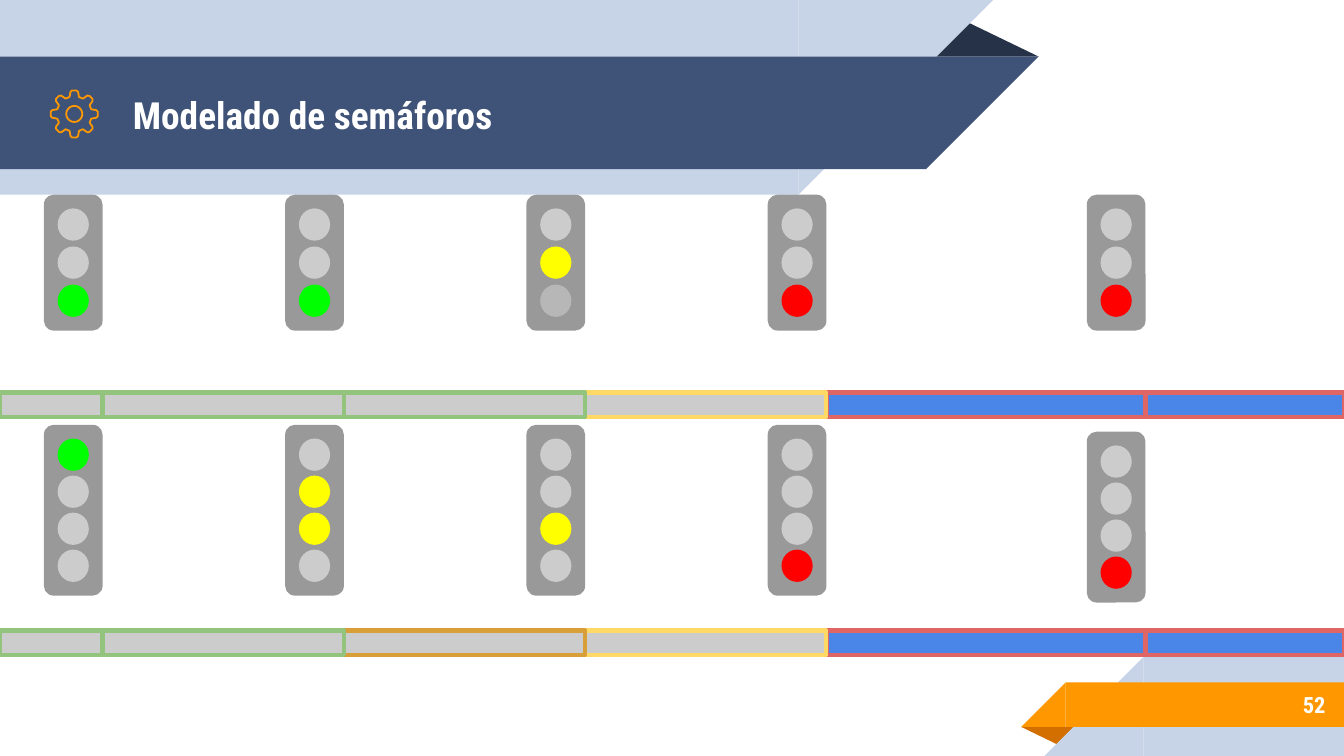
from dataclasses import dataclass
from math import cos, pi, sin
from typing import NamedTuple

from pptx import Presentation
from pptx.dml.color import RGBColor
from pptx.enum.shapes import MSO_SHAPE as Shape
from pptx.enum.text import MSO_ANCHOR as Anchor, MSO_AUTO_SIZE as AutoSize, PP_ALIGN as Align
from pptx.util import Cm, Pt


@dataclass(frozen=True)
class Theme:
    font: str = "Roboto Condensed"
    title_size: float = 20
    number_size: float = 12
    road_line: float = 2.25
    gear_line: float = 0.96
    text: str = "FFFFFF"
    pale: str = "C7D3E6"
    navy: str = "3F5378"
    navy_fold: str = "263248"
    orange: str = "FF9800"
    orange_fold: str = "D26F00"
    housing: str = "999999"
    off: str = "CCCCCC"
    dim: str = "B7B7B7"
    green: str = "00FF00"
    yellow: str = "FFFF00"
    red: str = "FF0000"
    free_track: str = "CCCCCC"
    train: str = "4A86E8"
    clear_edge: str = "93C47D"
    notice_edge: str = "D89F39"
    caution_edge: str = "FFD966"
    stop_edge: str = "E06666"


class Box(NamedTuple):
    left: float
    top: float
    width: float
    height: float


THEME = Theme()


def color(value):
    return RGBColor.from_string(value)


def add_filled(slide, kind, box, fill, edge=None, rotation=0):
    shape = slide.shapes.add_shape(kind, *map(Cm, box))
    shape.shadow.inherit = False
    shape.rotation = rotation
    shape.fill.solid()
    shape.fill.fore_color.rgb = color(fill)
    if edge:
        shape.line.color.rgb = color(edge)
        shape.line.width = Pt(THEME.road_line)
    else:
        shape.line.fill.background()
    return shape


def write_text(shape, text, size, alignment):
    frame = shape.text_frame
    frame.word_wrap = True
    frame.auto_size = AutoSize.NONE
    frame.vertical_anchor = Anchor.MIDDLE
    frame.margin_left = frame.margin_right = Cm(0.25)
    frame.margin_top = frame.margin_bottom = Cm(0.25)
    frame.text = text
    paragraph = frame.paragraphs[0]
    paragraph.alignment = alignment
    paragraph.line_spacing = 1.0
    paragraph.font.name = THEME.font
    paragraph.font.size = Pt(size)
    paragraph.font.bold = True
    paragraph.font.color.rgb = color(THEME.text)


def add_band(slide, box, fill, slant_left=False):
    left, top, width, height = box
    body_left = left + height if slant_left else left
    end_left = left if slant_left else left + width - height
    add_filled(slide, Shape.RECTANGLE, Box(body_left, top, width - height, height), fill)
    add_filled(slide, Shape.RIGHT_TRIANGLE, Box(end_left, top, height, height), fill,
               rotation=270 if slant_left else 90)


def add_fold(slide, box, fill, rotation=0):
    fold = add_filled(slide, Shape.ISOSCELES_TRIANGLE, box, fill, rotation=rotation)
    fold.adjustments[0] = 0.32


def add_gear(slide, box):
    radius = box.width / 2
    center_x, center_y = box.left + radius, box.top + radius
    tooth = [(0.72, -0.2), (0.94, -0.16), (1, -0.09), (1, 0.09), (0.94, 0.16), (0.72, 0.2)]
    hub_radius, hub_points = 0.34, 24

    def place(x, y, angle):
        return (Cm(center_x + radius * (x * cos(angle) - y * sin(angle))),
                Cm(center_y + radius * (x * sin(angle) + y * cos(angle))))

    rim = [place(x, y, turn * pi / 4) for turn in range(8) for x, y in tooth]
    hub = [place(hub_radius, 0, step * 2 * pi / hub_points) for step in range(hub_points)]
    builder = slide.shapes.build_freeform(*rim[0])
    builder.add_line_segments(rim[1:], close=True)
    builder.move_to(*hub[0])
    builder.add_line_segments(hub[1:], close=True)
    gear = builder.convert_to_shape()
    gear.shadow.inherit = False
    gear.fill.background()
    gear.line.color.rgb = color(THEME.orange)
    gear.line.width = Pt(THEME.gear_line)


def add_header(slide, box, title_text):
    left, top, width, height = box
    banner = Box(left, top + 1.07, width, 2.13)
    add_fold(slide, Box(left + width - 2.16, banner.top - 0.71, 2.16, 0.71), THEME.navy_fold)
    add_band(slide, Box(left, top, width - 0.86, height), THEME.pale)
    add_band(slide, banner, THEME.navy)
    add_gear(slide, Box(left + 0.96, banner.top + 0.64, 0.89, 0.89))
    title = slide.shapes.title
    title.left, title.top = Cm(left + 2.26), Cm(banner.top + 0.03)
    title.width, title.height = Cm(15.27), Cm(banner.height)
    write_text(title, title_text, THEME.title_size, Align.LEFT)
    slide.shapes.element.append(title.element)


def add_footer(slide, box, number):
    left, top, width, height = box
    ribbon = Box(left, top + 0.48, width, 0.84)
    add_fold(slide, Box(left, ribbon.top + ribbon.height, 1.09, 0.36),
             THEME.orange_fold, rotation=180)
    add_band(slide, Box(left + 0.44, top, width - 0.44, height), THEME.pale, slant_left=True)
    add_band(slide, ribbon, THEME.orange, slant_left=True)
    label = slide.shapes.add_textbox(Cm(left + 1.86), Cm(ribbon.top - 0.02), Cm(4.14), Cm(0.89))
    write_text(label, number, THEME.number_size, Align.RIGHT)


def add_traffic_light(slide, box, lamps):
    margin, lamp_width, lamp_height = 0.26, 0.59, 0.61
    pitch = (box.height - 2 * margin - lamp_height) / (len(lamps) - 1)
    add_filled(slide, Shape.ROUNDED_RECTANGLE, box, THEME.housing)
    for index, lamp in enumerate(lamps):
        lamp_box = Box(box.left + margin, box.top + margin + index * pitch,
                       lamp_width, lamp_height)
        add_filled(slide, Shape.OVAL, lamp_box, lamp)


def add_road(slide, box, joints, edges):
    starts = [box.left, *joints]
    ends = [*joints, box.left + box.width]
    for start, end, edge in reversed(list(zip(starts, ends, edges))):
        fill = THEME.train if edge == THEME.stop_edge else THEME.free_track
        add_filled(slide, Shape.RECTANGLE, Box(start, box.top, end - start, box.height), fill, edge)


def add_signal_row(slide, box, light_height, lights, edges, last_drop=0):
    joints = [box.left + 1.94 + 4.56 * index for index in range(4)] + [box.left + 21.65]
    road_height = 0.46
    for joint, lamps in zip(joints, lights):
        drop = last_drop if joint == joints[-1] else 0
        add_traffic_light(slide, Box(joint - 1.11, box.top + drop, 1.11, light_height), lamps)
    road = Box(box.left, box.top + box.height - road_height, box.width, road_height)
    add_road(slide, road, joints, edges)


def main():
    presentation = Presentation()
    presentation.slide_width, presentation.slide_height = Cm(25.4), Cm(14.29)
    slide = presentation.slides.add_slide(presentation.slide_layouts[5])
    off, green, yellow, red = THEME.off, THEME.green, THEME.yellow, THEME.red
    clear, notice = THEME.clear_edge, THEME.notice_edge
    caution, stop = THEME.caution_edge, THEME.stop_edge

    add_header(slide, Box(0, 0, 19.63, 3.68), "Modelado de semáforos")
    add_footer(slide, Box(19.3, 12.42, 6.1, 1.87), "52")
    add_signal_row(slide, Box(0, 3.68, 25.4, 4.2), 2.57,
                   [(off, off, green), (off, off, green), (off, yellow, THEME.dim),
                    (off, off, red), (off, off, red)],
                   [clear, clear, clear, caution, stop, stop])
    add_signal_row(slide, Box(0, 8.03, 25.4, 4.35), 3.23,
                   [(green, off, off, off), (off, yellow, yellow, off),
                    (off, off, yellow, off), (off, off, off, red), (off, off, off, red)],
                   [clear, clear, notice, caution, stop, stop], last_drop=0.13)
    presentation.save("out.pptx")


if __name__ == "__main__":
    main()
